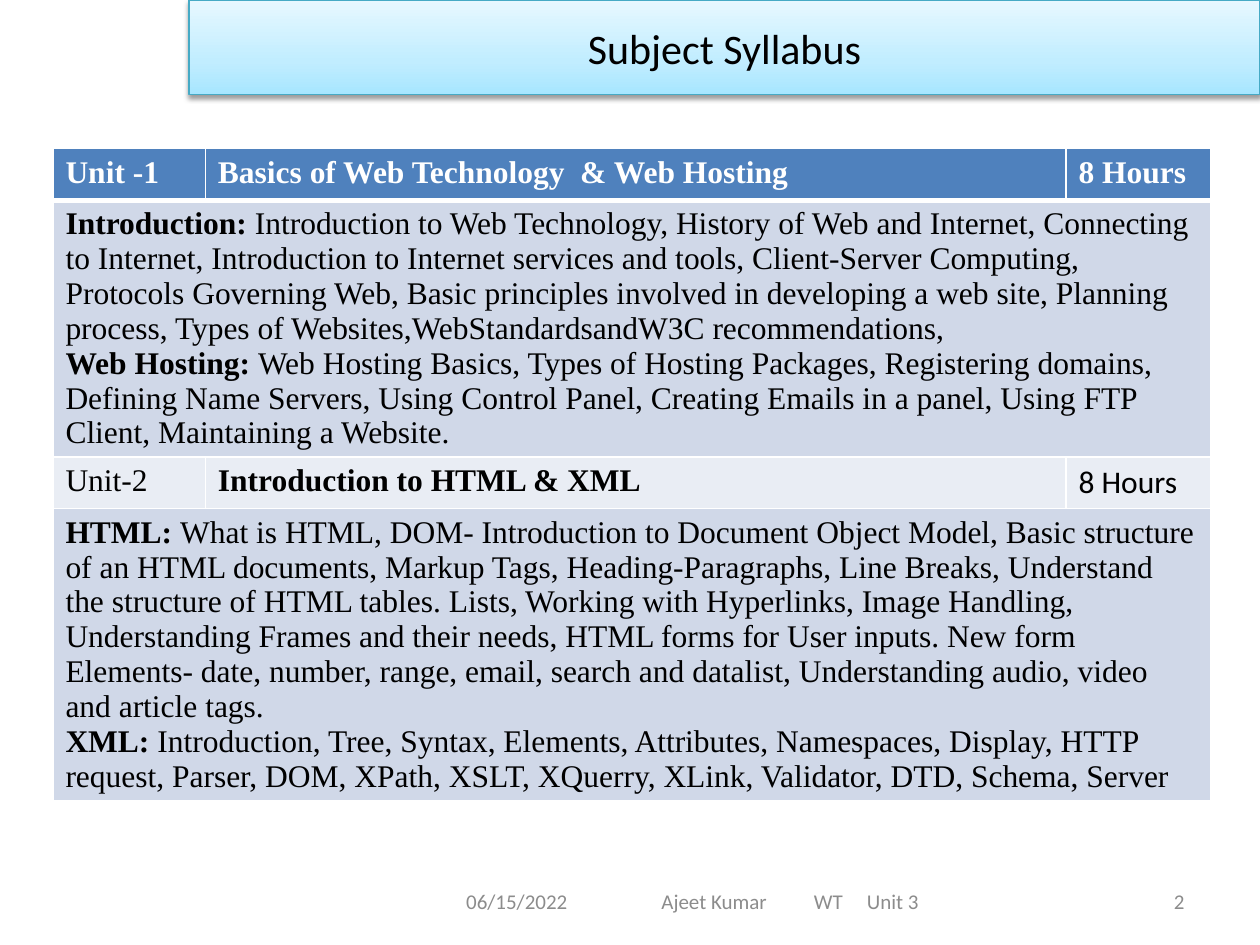
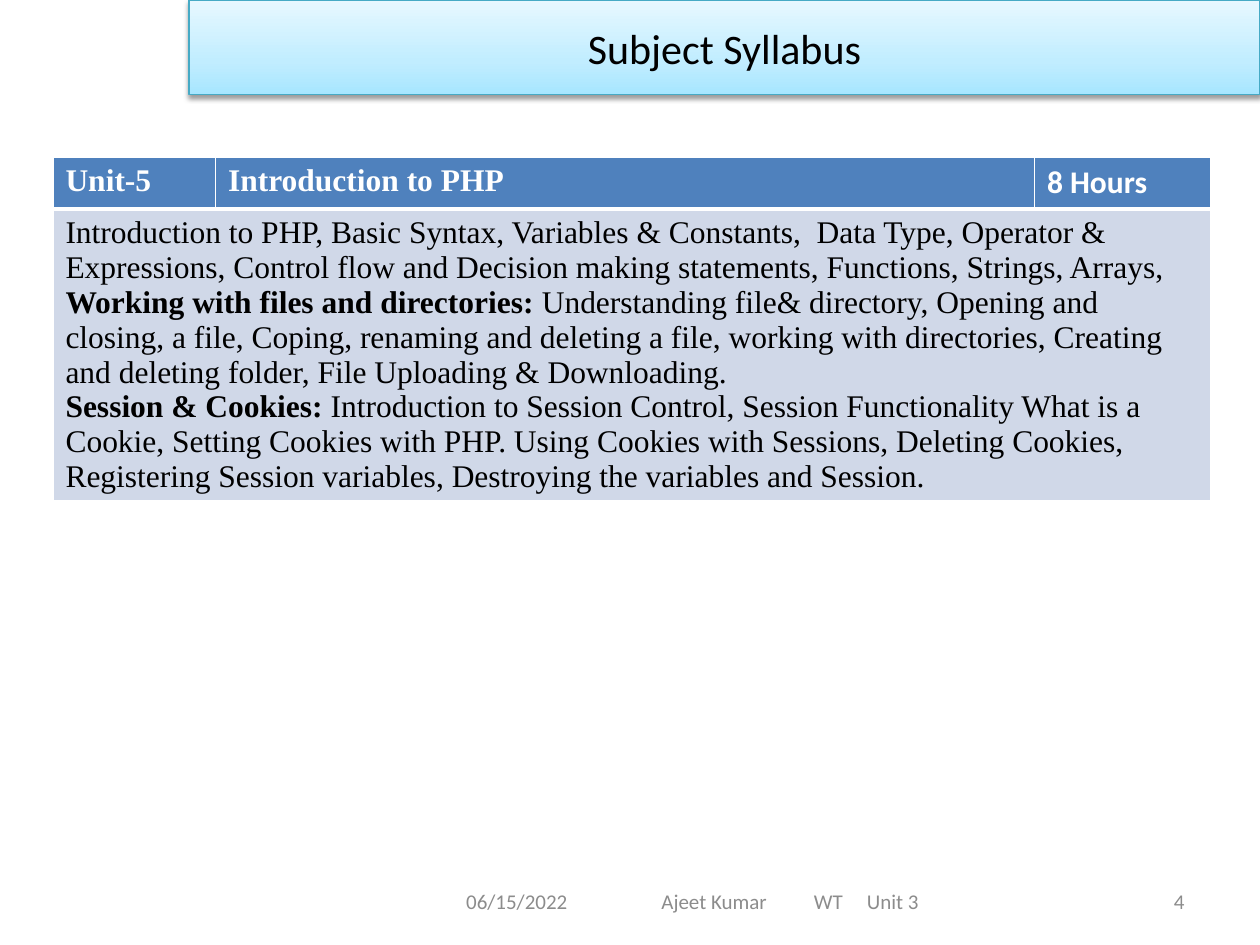
from copy import deepcopy

from lxml import etree
from pptx import Presentation
from pptx import util as u
from pptx.dml.color import RGBColor
from pptx.enum import text
from pptx.oxml.ns import qn

W, H = 10, 7.5
COLORS = {
    "header": "4F81BD", "detail": "D0D8E8", "unit": "E9EDF4",
    "white": "FFFFFF", "black": "000000", "footer": "8C8C8C", "edge": "46AAC5",
}
BAND_STOPS = [(0, "A7E6FF"), (0.35, "C1EDFF"), (1, "E7F8FF")]
SANS, SERIF = "Calibri", "Times New Roman"
LEFT, CENTER, RIGHT = text.PP_ALIGN.LEFT, text.PP_ALIGN.CENTER, text.PP_ALIGN.RIGHT
FOOTER = ["06/15/2022", "Ajeet Kumar", "WT", "Unit 3"]
FOOTER_TABS = [1.55, 2.76, 3.18]
UNIT_HEIGHT = 0.41

WEB_UNITS = [
    ("Unit -1", "Basics of Web Technology  & Web Hosting", "8 Hours", SERIF, 2.03, [
        ("Introduction: ", "Introduction to Web Technology, History of Web and Internet, "
         "Connecting to Internet, Introduction to Internet services and tools, "
         "Client-Server Computing, Protocols Governing Web, Basic principles involved in "
         "developing a web site, Planning process, Types of "
         "Websites,WebStandardsandW3C recommendations,"),
        ("Web Hosting: ", "Web Hosting Basics, Types of Hosting Packages, Registering "
         "domains, Defining Name Servers, Using Control Panel, Creating Emails in a panel, "
         "Using FTP Client, Maintaining a Website."),
    ]),
    ("Unit-2", "Introduction to HTML & XML", "8 Hours", SANS, 2.31, [
        ("HTML: ", "What is HTML, DOM- Introduction to Document Object Model, Basic "
         "structure of an HTML documents, Markup Tags, Heading-Paragraphs, Line Breaks, "
         "Understand the structure of HTML tables. Lists, Working with Hyperlinks, Image "
         "Handling, Understanding Frames and their needs, HTML forms for User inputs. New "
         "form Elements- date, number, range, email, search and datalist, Understanding "
         "audio, video and article tags."),
        ("XML: ", "Introduction, Tree, Syntax, Elements, Attributes, Namespaces, Display, "
         "HTTP request, Parser, DOM, XPath, XSLT, XQuerry, XLink, Validator, DTD, Schema, "
         "Server"),
    ]),
]
PHP_UNITS = [
    ("Unit-5", "Introduction to PHP", "8 Hours", SANS, 2.31, [
        ("", "Introduction to PHP, Basic Syntax, Variables & Constants,  Data Type, "
         "Operator & Expressions, Control flow and Decision making statements, Functions, "
         "Strings, Arrays,"),
        ("Working with files and directories: ", "Understanding file& directory, Opening "
         "and closing, a file, Coping, renaming and deleting a file, working with "
         "directories, Creating and deleting folder, File Uploading & Downloading."),
        ("Session & Cookies: ", "Introduction to Session Control, Session Functionality "
         "What is a Cookie, Setting Cookies with PHP. Using Cookies with Sessions, "
         "Deleting Cookies, Registering Session variables, Destroying the variables and "
         "Session."),
    ]),
]


def rgb(name):
    return RGBColor.from_string(COLORS[name])


def write(p, words, font=SANS, size=18, color="black", bold=False, align=LEFT):
    p.alignment = align
    r = p.add_run()
    r.text = words
    r.font.name, r.font.size, r.font.bold = font, u.Pt(size), bold
    r.font.color.rgb = rgb(color)


def place(sp, left, top, width, height):
    sp.left, sp.top = u.Inches(left), u.Inches(top)
    sp.width, sp.height = u.Inches(width), u.Inches(height)


def add_title(s, words):
    sp = s.shapes.title
    place(sp, 0.15 * W, 0, 0.85 * W, 0.1 * H)
    sp.fill.gradient()
    sp.fill.gradient_angle = 90
    stops = sp._element.spPr.find(".//" + qn("a:gsLst"))
    stops.insert(1, deepcopy(stops[0]))
    for stop, (position, color) in zip(sp.fill.gradient_stops, BAND_STOPS):
        stop.position, stop.color.rgb = position, RGBColor.from_string(color)
    sp.line.color.rgb, sp.line.width = rgb("edge"), u.Pt(0.75)
    sp.shadow.inherit = False
    effects = sp._element.spPr.find(qn("a:effectLst"))
    shadow = etree.SubElement(effects, qn("a:outerShdw"), blurRad=str(u.Pt(3.1)),
                              dist=str(u.Pt(1.6)), dir="5400000", rotWithShape="0")
    shade = etree.SubElement(shadow, qn("a:srgbClr"), val=COLORS["black"])
    etree.SubElement(shade, qn("a:alpha"), val="38000")
    tf = sp.text_frame
    tf.auto_size = text.MSO_AUTO_SIZE.NONE
    tf.vertical_anchor = text.MSO_ANCHOR.MIDDLE
    write(tf.paragraphs[0], words, size=24, align=CENTER)


def add_footer_box(s, left, width):
    sp = s.shapes.add_textbox(0, 0, 0, 0)
    place(sp, left, 6.95, width, 0.4)
    tf = sp.text_frame
    tf.word_wrap = True
    tf.vertical_anchor = text.MSO_ANCHOR.MIDDLE
    return tf


def add_footer(s, number):
    tf = add_footer_box(s, 2.75, 5.5)
    tf.margin_left = u.Inches(0.95)
    p = tf.paragraphs[0]
    tabs = etree.SubElement(p._p.get_or_add_pPr(), qn("a:tabLst"))
    for stop in FOOTER_TABS:
        etree.SubElement(tabs, qn("a:tab"), pos=str(u.Inches(stop)), algn="l")
    write(p, "\t".join(FOOTER), size=12, color="footer")
    tf = add_footer_box(s, 7.17, 2.33)
    write(tf.paragraphs[0], str(number), size=12, color="footer", align=RIGHT)


def fill_cell(cell, color):
    cell.fill.solid()
    cell.fill.fore_color.rgb = rgb(color)
    return cell.text_frame


def underline_cell(cell):
    line = etree.Element(qn("a:lnB"), w=str(u.Pt(3)))
    fill = etree.SubElement(line, qn("a:solidFill"))
    etree.SubElement(fill, qn("a:srgbClr"), val=COLORS["white"])
    cell._tc.get_or_add_tcPr().insert(0, line)


def add_unit_row(table, row, labels, hours_font):
    header = row == 0
    for col, (words, font) in enumerate(zip(labels, [SERIF, SERIF, hours_font])):
        cell = table.cell(row, col)
        tf = fill_cell(cell, "header" if header else "unit")
        if header:
            underline_cell(cell)
        write(tf.paragraphs[0], words, font=font, bold=header or col == 1,
              color="white" if header else "black")


def add_detail_row(table, row, topics):
    cell = table.cell(row, 0)
    cell.merge(table.cell(row, len(table.columns) - 1))
    tf = fill_cell(cell, "detail")
    for i, (heading, body) in enumerate(topics):
        p = tf.add_paragraph() if i else tf.paragraphs[0]
        if heading:
            write(p, heading, font=SERIF, bold=True)
        write(p, body, font=SERIF)


def add_syllabus(s, units, top, columns):
    heights = [h for unit in units for h in (UNIT_HEIGHT, unit[4])]
    frame = s.shapes.add_table(len(heights), len(columns), u.Inches(0.42), u.Inches(top),
                               u.Inches(sum(columns)), u.Inches(sum(heights)))
    table = frame.table
    for column, width in zip(table.columns, columns):
        column.width = u.Inches(width)
    for row, height in zip(table.rows, heights):
        row.height = u.Inches(height)
    for i, (*labels, hours_font, _, topics) in enumerate(units):
        add_unit_row(table, 2 * i, labels, hours_font)
        add_detail_row(table, 2 * i + 1, topics)


def add_syllabus_slide(prs, number, units, top, columns):
    s = prs.slides.add_slide(prs.slide_layouts[5])
    add_title(s, "Subject Syllabus")
    add_syllabus(s, units, top, columns)
    add_footer(s, number)


def main():
    prs = Presentation()
    prs.slide_width, prs.slide_height = u.Inches(W), u.Inches(H)
    add_syllabus_slide(prs, 2, WEB_UNITS, 1.18, [1.21, 6.83, 1.15])
    add_syllabus_slide(prs, 4, PHP_UNITS, 1.25, [1.29, 6.5, 1.4])
    prs.save("out.pptx")


if __name__ == "__main__":
    main()
